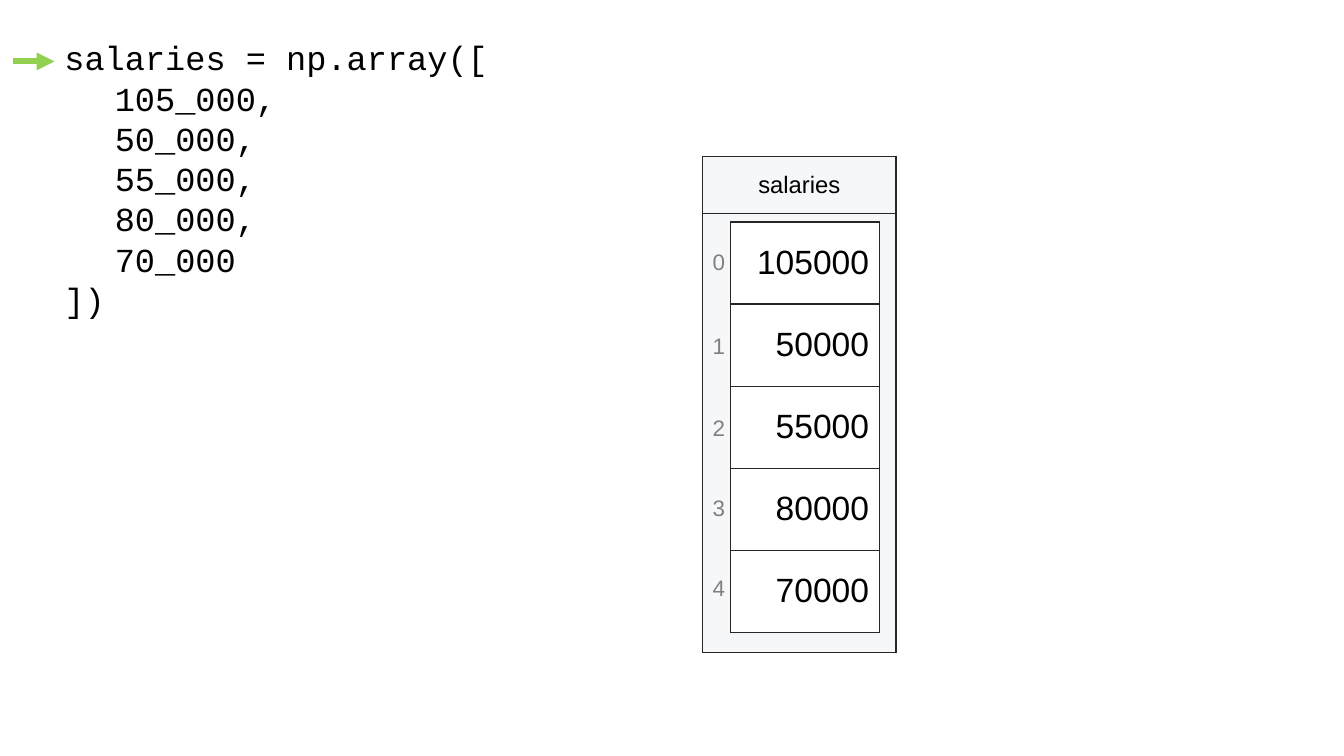
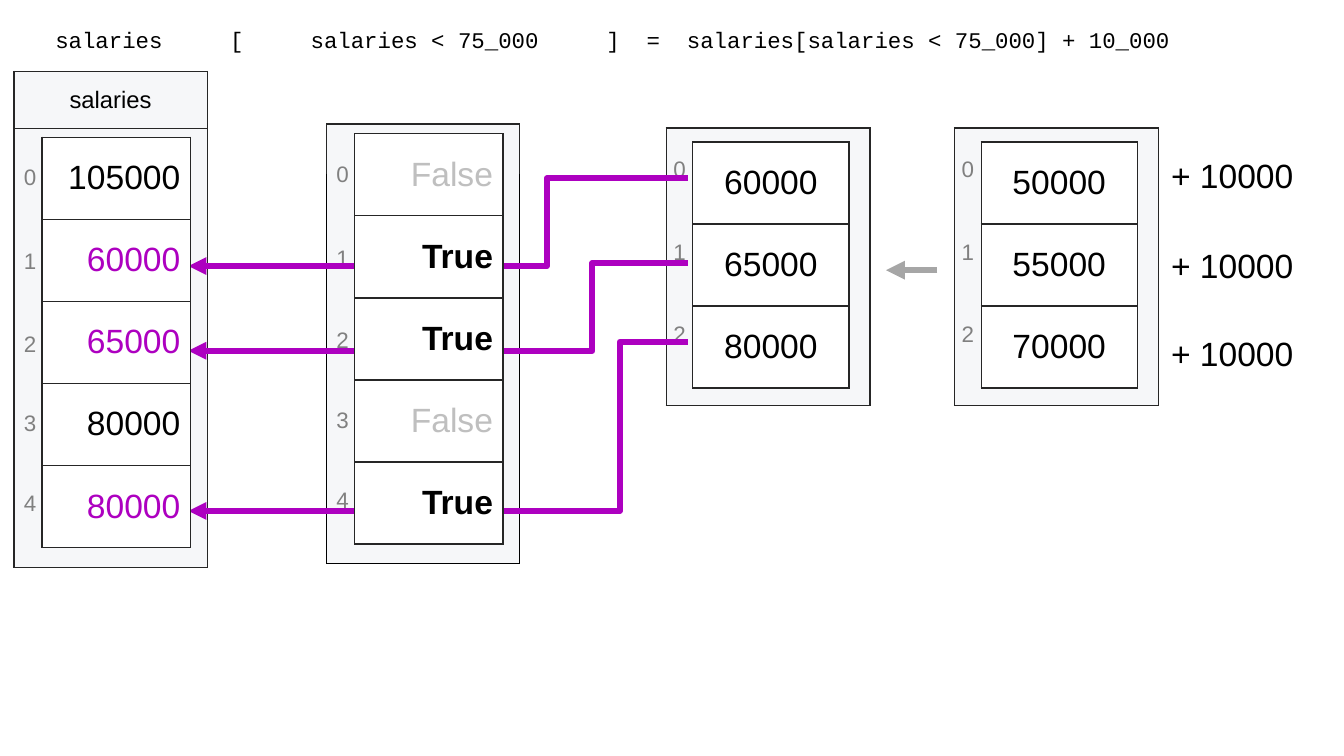
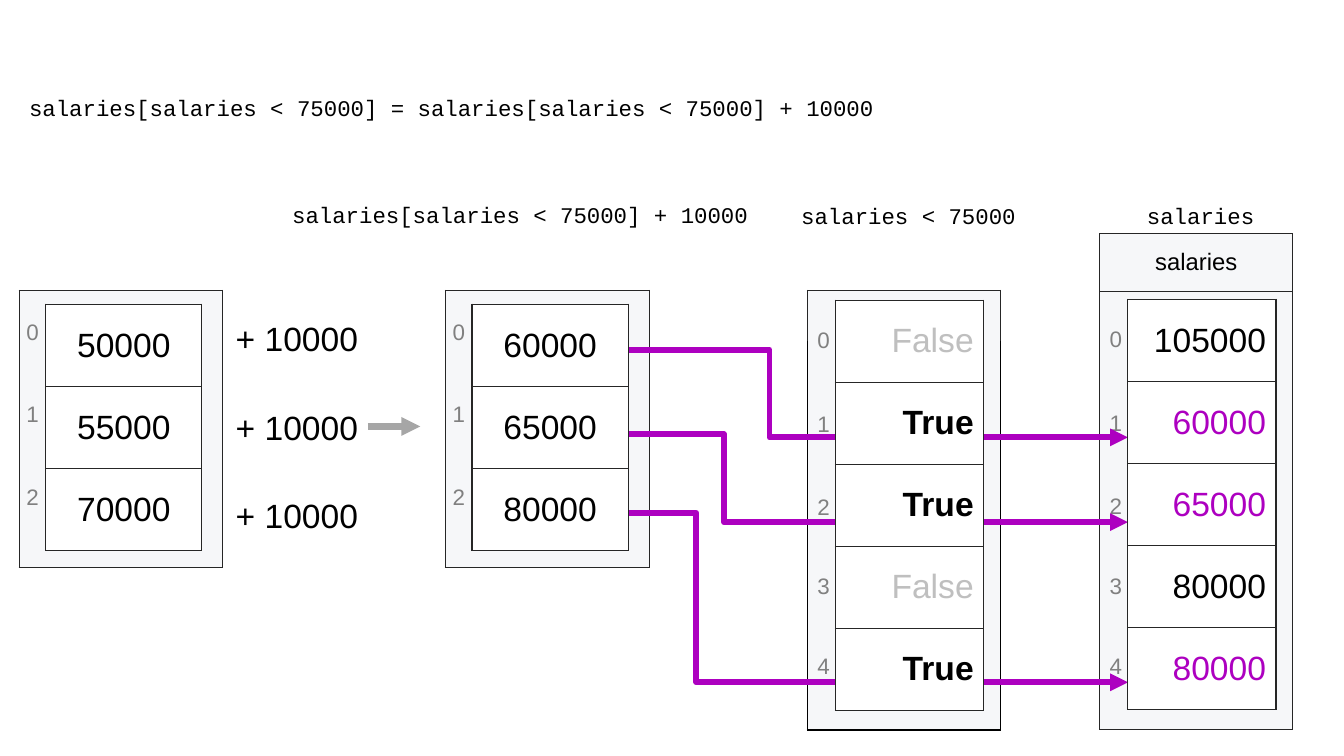
from collections import namedtuple

from lxml import etree
from pptx import Presentation
from pptx.dml.color import RGBColor
from pptx.enum.shapes import MSO_CONNECTOR
from pptx.enum.text import MSO_ANCHOR, MSO_AUTO_SIZE, PP_ALIGN
from pptx.oxml.ns import qn
from pptx.util import Pt

STRAIGHT, ELBOW = MSO_CONNECTOR.STRAIGHT, MSO_CONNECTOR.ELBOW
LEFT, CENTER, RIGHT = PP_ALIGN.LEFT, PP_ALIGN.CENTER, PP_ALIGN.RIGHT
MIDDLE = MSO_ANCHOR.MIDDLE
GROW = MSO_AUTO_SIZE.SHAPE_TO_FIT_TEXT

color = RGBColor.from_string
BLACK, WHITE, EDGE, PANEL = "000000", "FFFFFF", "262626", "F6F7F9"
INDEX, FADED, PURPLE, GREEN, GREY = "808080", "BFBFBF", "AD00C0", "92D050", "A6A6A6"
SANS, MONO = "Arial", "Courier New"
CELL_HEIGHT = 58.6
CHAR_WIDTH = 9.6  # one 16 pt monospaced character

# Offsets are measured from the panel corner, index_tops from the first cell.
Style = namedtuple(
    "Style", "panel_width panel_rows cell_dx cell_dy cell_width index_dx index_tops align edges")
BOXED = ("LRTB", EDGE)
COLUMN_TOPS = [15, 75, 134, 191, 248]
STYLES = {
    "named": Style(138, [41, 313.2], 20, 47, 106, 0, COLUMN_TOPS, RIGHT, [BOXED, BOXED]),
    "mask": Style(138, [36, 278], 20, 7, 106, 0, COLUMN_TOPS, RIGHT,
                  [("LRT", EDGE), ("LRB", BLACK)]),
    "subset": Style(145.5, [198], 19, 10, 111.5, -2, [6, 65, 124], CENTER, [BOXED]),
}

# Arrays: style, panel left, panel top, values, rows to highlight
ORIGINAL = ["105000", "50000", "55000", "80000", "70000"]
UPDATED = ["105000", "60000", "65000", "80000", "80000"]
MASK = ["False", "True", "True", "False", "True"]
LOW, RAISED = ["50000", "55000", "70000"], ["60000", "65000", "80000"]
CHANGED = [1, 2, 4]

# Texts: left, top, width, height, text, size, font, colour, wraps
CODE = "salaries = np.array([\n\t105_000,\n\t50_000,\n\t55_000,\n\t80_000,\n\t70_000\n])"
ASSIGNMENT = "salaries\t[\tsalaries < 75_000\t]\t=\tsalaries[salaries < 75_000] + 10_000"
ASSIGNMENT_COLUMNS = [13, 19, 41, 44, 47]

# Arrows: kind, from x, from y, to x, to y, colour, width, bend fraction
BENDS = [(190.1, 127.4, 0.717), (250.6, 187.9, 0.808), (365, 244.1, 0.863)]

slides = [
    {
        "arrays": [("named", 502, 111.6, ORIGINAL, [])],
        "texts": [(38.9, 23, 320, 211, CODE, 24, MONO, BLACK, False)],
        "arrows": [(STRAIGHT, 9.4, 43.9, 38.9, 43.9, GREEN, 4.25, None)],
    },
    {
        "arrays": [
            ("subset", 681.8, 91.4, LOW, []),
            ("subset", 475.9, 91.4, RAISED, []),
            ("named", 10, 51, UPDATED, CHANGED),
            ("mask", 233.3, 88.6, MASK, []),
        ],
        "texts": [(32.4, 15, 826, 26.6, ASSIGNMENT, 16, MONO, BLACK, True)],
        "additions": (829.4, 107.3),
        "arrows": [(STRAIGHT, 669.6, 193, 632.9, 193, GREY, 4.5, None)],
        "bends": (134.6, 491.8, 0),
    },
    {
        "arrays": [
            ("subset", 13.7, 207.4, LOW, []),
            ("subset", 318.2, 207.4, RAISED, []),
            ("named", 785.5, 167, UPDATED, CHANGED),
            ("mask", 576.7, 207.4, MASK, []),
        ],
        "texts": [
            (201.6, 140.4, 345, 26.6, "salaries[salaries < 75000] + 10000", 16, MONO, BLACK, False),
            (13.7, 63.4, 637, 26.6,
             "salaries[salaries < 75000] = salaries[salaries < 75000] + 10000",
             16, MONO, BLACK, True),
            (812.2, 140.7, 92, 26.6, "salaries", 16, MONO, BLACK, False),
            (565.2, 140.7, 170, 26.6, "salaries < 75000", 16, MONO, BLACK, False),
        ],
        "additions": (161.3, 223.2),
        "arrows": [(STRAIGHT, 262.8, 304.6, 300.2, 304.6, GREY, 4.5, None)],
        "bends": (805.7, 448.6, 122.4),
    },
]


def write(frame, text, size, font, colour, align=LEFT, bold=False):
    """Put text in a frame and format every run of it."""
    frame.text = text
    for para in frame.paragraphs:
        para.alignment = align
        for span in para.runs:
            span.font.size = Pt(size)
            span.font.name = font
            span.font.bold = bold
            span.font.color.rgb = color(colour)


def add_column(page, left, top, width, heights, fill, edges):
    """Add a one-column table; edges gives the sides and colour for each row."""
    frame = page.shapes.add_table(
        len(heights), 1, Pt(left), Pt(top), Pt(width), Pt(sum(heights)))
    table = frame.table
    table.first_row = table.horz_banding = False
    for row, (height, (sides, edge)) in enumerate(zip(heights, edges)):
        table.rows[row].height = Pt(height)
        cell = table.cell(row, 0)
        cell.vertical_anchor = MIDDLE
        properties = cell._tc.get_or_add_tcPr()
        for side in "LRTB":
            drawn = side in sides
            border = etree.SubElement(properties, qn(f"a:ln{side}"), w=str(Pt(1 if drawn else 0)))
            paint = etree.SubElement(border, qn("a:solidFill" if drawn else "a:noFill"))
            if drawn:
                etree.SubElement(paint, qn("a:srgbClr"), val=edge)
        cell.fill.solid()
        cell.fill.fore_color.rgb = color(fill)
    return table


deck = Presentation()
deck.slide_width, deck.slide_height = Pt(960), Pt(540)

for slide in slides:
    page = deck.slides.add_slide(deck.slide_layouts[6])
    texts = list(slide["texts"])
    arrows = list(slide["arrows"])

    if "additions" in slide:
        left, top = slide["additions"]
        for offset in (0, 64.1, 126.7):
            texts.append((left, top + offset, 103, 36, "+ 10000", 24, SANS, BLACK, False))
    if "bends" in slide:
        start, end, shift = slide["bends"]
        for start_y, end_y, bend in BENDS:
            arrows.append((ELBOW, start, start_y + shift, end, end_y + shift, PURPLE, 4.25, bend))

    for kind, left, top, values, changed in slide["arrays"]:
        style = STYLES[kind]
        panel = add_column(page, left, top, style.panel_width, style.panel_rows, PANEL, style.edges)
        if kind == "named":
            header = panel.cell(0, 0)
            header.margin_left = header.margin_right = 0
            header.margin_top = header.margin_bottom = 0
            write(header.text_frame, "salaries", 17, SANS, BLACK, CENTER)
        for index, offset in enumerate(style.index_tops):
            texts.append((left + style.index_dx, top + style.cell_dy + offset, 25, 26.6,
                          str(index), 16, SANS, INDEX, True))

    for left, top, width, height, text, size, font, colour, wraps in texts:
        box = page.shapes.add_textbox(Pt(left), Pt(top), Pt(width), Pt(height))
        box.text_frame.word_wrap = wraps
        box.text_frame.auto_size = GROW
        write(box.text_frame, text, size, font, colour)
        if text == ASSIGNMENT:
            properties = box.text_frame.paragraphs[0]._p.get_or_add_pPr()
            stops = etree.SubElement(properties, qn("a:tabLst"))
            for column in ASSIGNMENT_COLUMNS:
                etree.SubElement(stops, qn("a:tab"), pos=str(Pt(column * CHAR_WIDTH)), algn="l")

    for kind, start_x, start_y, end_x, end_y, colour, width, bend in arrows:
        arrow = page.shapes.add_connector(kind, Pt(start_x), Pt(start_y), Pt(end_x), Pt(end_y))
        arrow.line.color.rgb = color(colour)
        arrow.line.width = Pt(width)
        properties = arrow._element.spPr
        tip = "a:headEnd" if kind == ELBOW else "a:tailEnd"
        etree.SubElement(properties.find(qn("a:ln")), qn(tip), type="triangle")
        etree.SubElement(properties, qn("a:effectLst"))
        if bend:
            guides = properties.find(f"{qn('a:prstGeom')}/{qn('a:avLst')}")
            etree.SubElement(guides, qn("a:gd"), name="adj1", fmla=f"val {round(bend * 100000)}")

    # Cells come last, so that the arrows pass behind the mask.
    for kind, left, top, values, changed in slide["arrays"]:
        style = STYLES[kind]
        count = len(values)
        cells = add_column(page, left + style.cell_dx, top + style.cell_dy, style.cell_width,
                           [CELL_HEIGHT] * count, WHITE, [BOXED] * count)
        for row, value in enumerate(values):
            colour = PURPLE if row in changed else FADED if value == "False" else BLACK
            write(cells.cell(row, 0).text_frame, value, 24, SANS, colour,
                  style.align, value == "True")

deck.save("out.pptx")
